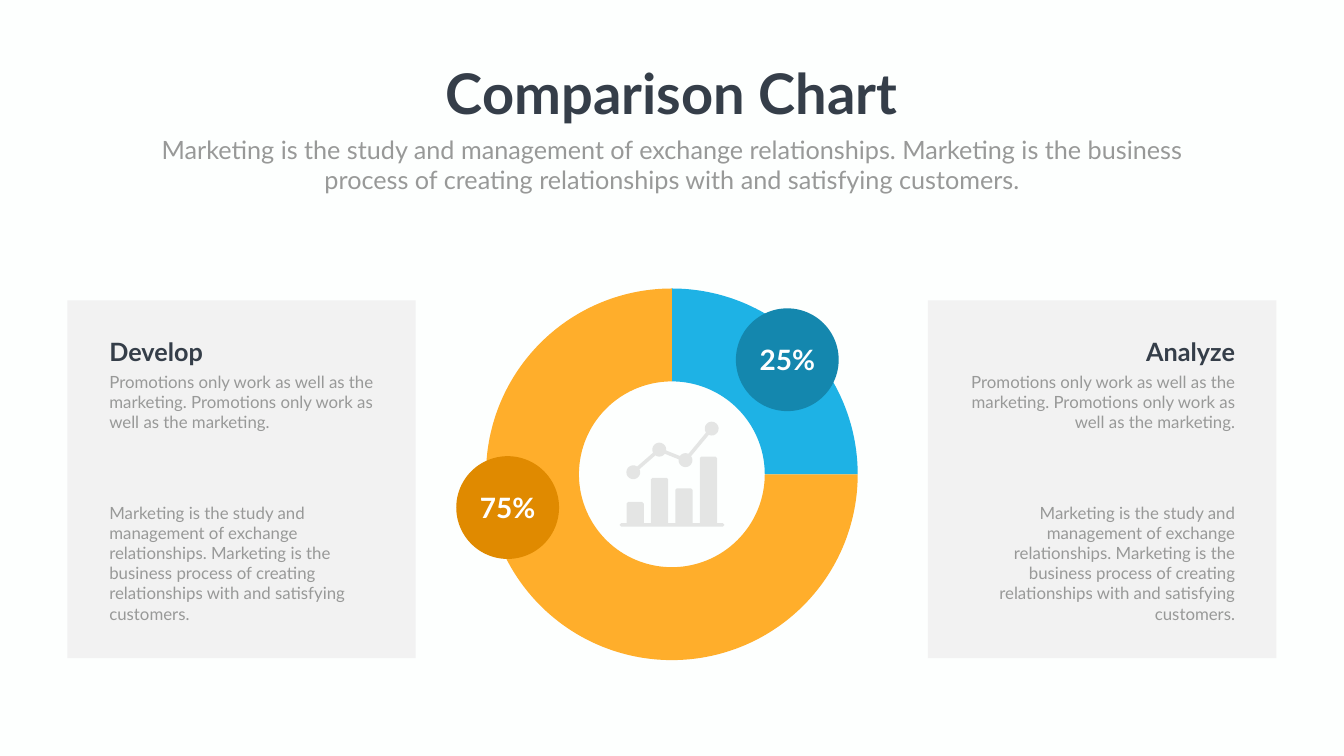
import math
from dataclasses import dataclass

from lxml import etree
from pptx import Presentation
from pptx import util as u
from pptx.chart import data
from pptx.dml.color import RGBColor
from pptx.enum import chart as charts, shapes, text
from pptx.oxml.ns import qn

Point = tuple[float, float]

FONT = "Lato"
DARK, GREY, WHITE, PANEL, ICON = "353E49", "989998", "FFFFFF", "F2F2F2", "808080"
LEFT, CENTER, RIGHT = text.PP_ALIGN.LEFT, text.PP_ALIGN.CENTER, text.PP_ALIGN.RIGHT

MARKETING = ("Marketing is the study and management of exchange relationships. "
             "Marketing is the business process of creating relationships with "
             "and satisfying customers.")
PROMOTIONS = " ".join(["Promotions only work as well as the marketing."] * 2)


@dataclass
class Panel:
    heading: str
    left: float
    heading_left: float
    text_left: float
    align: text.PP_ALIGN


@dataclass
class Bubble:
    label: str
    left: float
    top: float
    label_width: float
    color: str


@dataclass
class Slice:
    name: str
    value: int
    color: str


PANELS = [Panel("Develop", 3.4, 5.26, 5.26, LEFT),
          Panel("Analyze", 46.76, 51.61, 48.26, RIGHT)]
BUBBLES = [Bubble("75%", 22.99, 22.99, 3.58, "E08A00"),
           Bubble("25%", 37.08, 15.54, 3.99, "1487AE")]
SLICES = [Slice("1", 25, "1EB2E5"), Slice("2", 75, "FFAE2B")]
BAR_TOPS = [25.3, 24.08, 24.61, 23.01]
TREND_NODES = [(31.91, 23.8), (33.22, 22.66), (34.54, 23.19), (35.86, 21.6)]


def paint(fill, color: str) -> None:
    fill.solid()
    fill.fore_color.rgb = RGBColor.from_string(color)


def add_text(page, words: str, left: float, top: float, width: float, height: float,
             size: int, color: str, align=LEFT, bold=False, wrap=True) -> None:
    box = page.shapes.add_textbox(u.Cm(left), u.Cm(top), u.Cm(width), u.Cm(height))
    frame = box.text_frame
    frame.word_wrap = wrap
    frame.auto_size = text.MSO_AUTO_SIZE.SHAPE_TO_FIT_TEXT
    para = frame.paragraphs[0]
    para.alignment = align
    span = para.add_run()
    span.text = words
    span.font.name = FONT
    span.font.size = u.Pt(size)
    span.font.bold = bold
    span.font.color.rgb = RGBColor.from_string(color)


def add_block(page, kind, left: float, top: float, width: float, height: float,
              color: str) -> None:
    block = page.shapes.add_shape(kind, u.Cm(left), u.Cm(top), u.Cm(width), u.Cm(height))
    block.shadow.inherit = False
    paint(block.fill, color)
    block.line.fill.background()


def add_outline(page, points: list[Point], color: str, opacity: int) -> None:
    corners = [(u.Cm(x), u.Cm(y)) for x, y in points]
    builder = page.shapes.build_freeform(*corners[0])
    builder.add_line_segments(corners[1:], close=True)
    outline = builder.convert_to_shape()
    outline.shadow.inherit = False
    paint(outline.fill, color)
    outline.line.fill.background()
    tint = outline._element.spPr.find(f".//{qn('a:srgbClr')}")
    etree.SubElement(tint, qn("a:alpha"), val=str(opacity * 1000))


def bar_points(tops: list[float]) -> list[Point]:
    """Outline of bars with cut corners standing on one base strip."""
    left, right, base, bottom = 31.22, 36.5, 26.37, 26.54
    first, step, width, cut = 31.57, 1.23, 0.87, 0.08
    points = [(left, bottom - cut), (left, base + cut), (left + cut, base)]
    for index, top in enumerate(tops):
        near = first + index * step
        far = near + width
        points += [(near, base), (near, top + cut), (near + cut, top),
                   (far - cut, top), (far, top + cut), (far, base)]
    return points + [(right - cut, base), (right, base + cut),
                     (right, bottom - cut), (right - cut, bottom), (left + cut, bottom)]


def trend_points(nodes: list[Point]) -> list[Point]:
    """Outline walked around round nodes joined by thin links."""
    radius, half_link, steps = 0.35, 0.09, 16
    gap = math.asin(half_link / radius)
    tour = nodes + nodes[-2:0:-1]
    points = []
    for index, (x, y) in enumerate(tour):
        before, after = tour[index - 1], tour[(index + 1) % len(tour)]
        start = math.atan2(before[1] - y, before[0] - x) + gap
        end = math.atan2(after[1] - y, after[0] - x) - gap
        sweep = (end - start) % math.tau
        for step in range(steps + 1):
            angle = start + sweep * step / steps
            points.append((x + radius * math.cos(angle), y + radius * math.sin(angle)))
    return points


def add_doughnut(page, slices: list[Slice]) -> None:
    content = data.CategoryChartData()
    content.categories = [part.name for part in slices]
    content.add_series("Series 1", [part.value for part in slices])
    chart = page.shapes.add_chart(charts.XL_CHART_TYPE.DOUGHNUT, u.Cm(23.44), u.Cm(14.15),
                                  u.Cm(20.83), u.Cm(19.51), content).chart
    chart.has_legend = False
    chart.has_title = False
    chart.font.name = "Calibri"
    chart.font.size = u.Pt(10)
    chart.font.color.rgb = RGBColor.from_string(GREY)
    plot = chart.plots[0]
    plot.vary_by_categories = True
    for index, part in enumerate(slices):
        point = plot.series[0].points[index].format
        paint(point.fill, part.color)
        point.line.fill.background()

    # Hole size and plot area
    area = chart._chartSpace.find(f".//{qn('c:plotArea')}")
    area.find(f".//{qn('c:holeSize')}").set("val", "75")
    layout = area.find(qn("c:layout"))
    if layout is None:
        layout = etree.Element(qn("c:layout"))
        area.insert(0, layout)
    manual = etree.SubElement(layout, qn("c:manualLayout"))
    for tag, value in [("layoutTarget", "inner"), ("xMode", "edge"), ("yMode", "edge"),
                       ("x", "0.05"), ("y", "0.02"), ("w", "0.9"), ("h", "0.96")]:
        etree.SubElement(manual, qn(f"c:{tag}"), val=value)


def add_panel(page, panel: Panel) -> None:
    add_block(page, shapes.MSO_SHAPE.RECTANGLE, panel.left, 15.14, 17.55, 18.03, PANEL)
    add_text(page, PROMOTIONS, panel.text_left, 18.59, 14.22, 3.33, 24, GREY, panel.align)
    add_text(page, panel.heading, panel.heading_left, 16.81, 10.87, 1.8, 36, DARK,
             panel.align, bold=True)
    add_text(page, MARKETING, panel.text_left, 25.2, 14.22, 6.4, 24, GREY, panel.align)


def add_bubble(page, bubble: Bubble) -> None:
    size, label_height = 5.18, 1.96
    add_block(page, shapes.MSO_SHAPE.OVAL, bubble.left, bubble.top, size, size, bubble.color)
    add_text(page, bubble.label, bubble.left + (size - bubble.label_width) / 2,
             bubble.top + (size - label_height) / 2, bubble.label_width, label_height,
             40, WHITE, CENTER, bold=True)


def main() -> None:
    deck = Presentation()
    deck.slide_width, deck.slide_height = u.Cm(67.72), u.Cm(38.1)
    page = deck.slides.add_slide(deck.slide_layouts[6])
    paint(page.background.fill, "FDFFFE")

    # Title and subtitle
    add_text(page, "Comparison Chart", 22.02, 2.84, 23.65, 3.68, 80, DARK, CENTER,
             bold=True, wrap=False)
    add_text(page, MARKETING, 7.42, 6.63, 52.88, 3.33, 36, GREY, CENTER)

    # Doughnut with percentage bubbles
    add_doughnut(page, SLICES)
    for bubble in BUBBLES:
        add_bubble(page, bubble)

    # Icon in the doughnut hole
    for points in (bar_points(BAR_TOPS), trend_points(TREND_NODES)):
        add_outline(page, points, ICON, opacity=20)

    # Side panels
    for panel in PANELS:
        add_panel(page, panel)

    deck.save("out.pptx")


if __name__ == "__main__":
    main()
